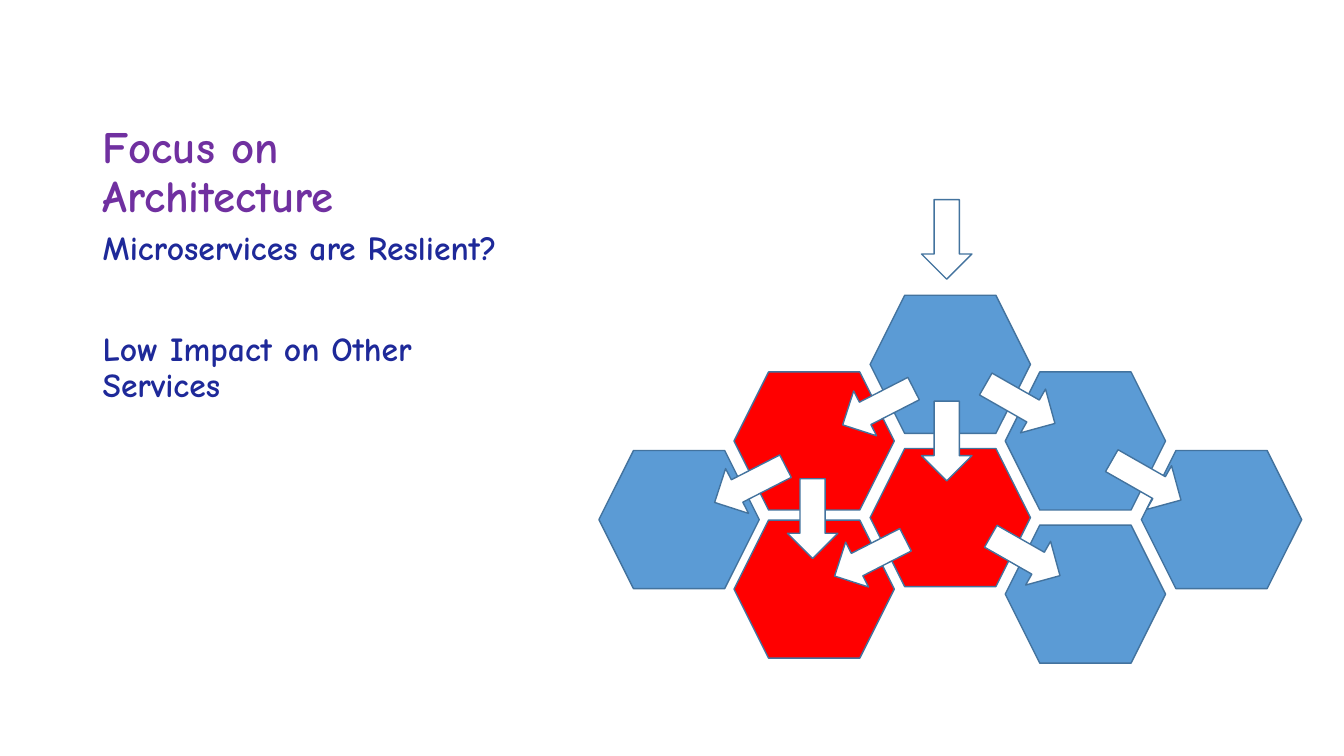
import pptx
import pptx.dml.color
import pptx.enum.shapes
import pptx.enum.text
import pptx.util

RGBColor = pptx.dml.color.RGBColor
MSO_SHAPE = pptx.enum.shapes.MSO_SHAPE
MSO_ANCHOR = pptx.enum.text.MSO_ANCHOR

PURPLE = RGBColor(0x70, 0x30, 0xA0)
NAVY = RGBColor(0x1E, 0x29, 0x99)
HEALTHY_BLUE = RGBColor(0x5B, 0x9B, 0xD5)
FAILED_RED = RGBColor(0xFF, 0x00, 0x00)
OUTLINE_BLUE = RGBColor(0x43, 0x73, 0x9E)
WHITE = RGBColor(0xFF, 0xFF, 0xFF)

EMU_PER_PX = 9144  # 100 px to the inch
SLIDE_SIZE = (1333, 750)
SERVICE_SIZE = (159, 137)
CALL_SIZE = (50, 79)
FIRST_COLUMN, TWO_COLUMNS = 594, 269

# column, top, fill
SERVICES = [
    (0, 447, HEALTHY_BLUE),
    (1, 369, FAILED_RED),
    (1, 516, FAILED_RED),
    (2, 293, HEALTHY_BLUE),
    (2, 445, FAILED_RED),
    (3, 369, HEALTHY_BLUE),
    (3, 521, HEALTHY_BLUE),
    (4, 447, HEALTHY_BLUE),
]

DOWN, DOWN_LEFT, DOWN_RIGHT = 0, 62.9, 299.7
CALLS = {
    DOWN: [(914, 198), (914, 398), (781, 475)],
    DOWN_LEFT: [(846, 364), (719, 441), (838, 514)],
    DOWN_RIGHT: [(987, 361), (1112, 437), (992, 512)],
}


def px(*lengths):
    return [pptx.util.Emu(length * EMU_PER_PX) for length in lengths]


class ServiceSlide:
    font_name = "Comic Neue"
    outline_width = pptx.util.Pt(1)

    def __init__(self, presentation):
        self.slide = presentation.slides.add_slide(presentation.slide_layouts[6])

    def text(self, box, lines, size, color, anchor=MSO_ANCHOR.TOP):
        """Add a text box; lines are pairs of wording and space before in points."""
        frame = self.slide.shapes.add_textbox(*px(*box)).text_frame
        frame.word_wrap = True
        frame.vertical_anchor = anchor
        font_format = {"name": self.font_name, "size": pptx.util.Pt(size), "bold": True}
        for index, (wording, space_before) in enumerate(lines):
            paragraph = frame.add_paragraph() if index else frame.paragraphs[0]
            paragraph.text = wording
            paragraph.line_spacing = 0.9
            paragraph.space_before = pptx.util.Pt(space_before)
            for attribute, value in font_format.items():
                setattr(paragraph.font, attribute, value)
            paragraph.font.color.rgb = color

    def shape(self, kind, position, size, fill, rotation=0):
        shape = self.slide.shapes.add_shape(kind, *px(*position, *size))
        shape.rotation = rotation
        shape.shadow.inherit = False
        shape.fill.solid()
        shape.fill.fore_color.rgb = fill
        shape.line.color.rgb = OUTLINE_BLUE
        shape.line.width = self.outline_width

    def service(self, column, top, fill):
        left = FIRST_COLUMN + column * TWO_COLUMNS // 2
        self.shape(MSO_SHAPE.HEXAGON, (left, top), SERVICE_SIZE, fill)

    def call(self, position, rotation):
        self.shape(MSO_SHAPE.DOWN_ARROW, position, CALL_SIZE, WHITE, rotation)


def main():
    presentation = pptx.Presentation()
    presentation.slide_width, presentation.slide_height = px(*SLIDE_SIZE)
    resilience = ServiceSlide(presentation)

    resilience.text((92, 50, 430, 175), [("Focus on Architecture", 0)],
                    32, PURPLE, MSO_ANCHOR.BOTTOM)
    resilience.text((92, 225, 430, 417),
                    [("Microservices are Reslient?", 0),
                     ("Low Impact on Other Services", 46)],
                    24, NAVY)

    for column, top, fill in SERVICES:
        resilience.service(column, top, fill)
    for rotation, positions in CALLS.items():
        for position in positions:
            resilience.call(position, rotation)

    presentation.save("out.pptx")


if __name__ == "__main__":
    main()
